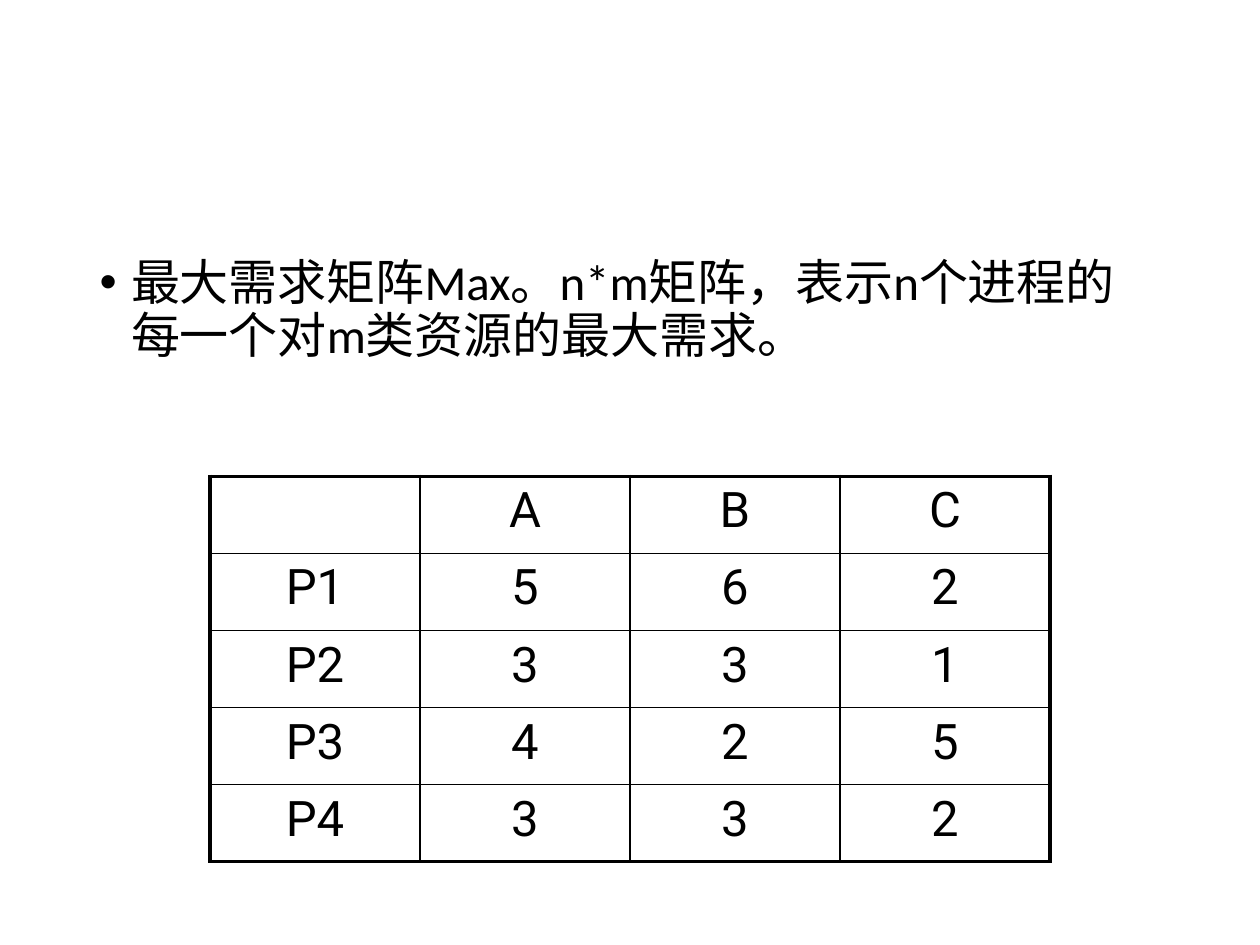
from dataclasses import dataclass
from lxml.etree import SubElement as Sub
from pptx import Presentation
from pptx.dml.color import RGBColor as RGB
from pptx.enum.text import MSO_AUTO_SIZE as Fit, PP_ALIGN as Align
from pptx.oxml.ns import qn
from pptx.util import Inches, Pt


@dataclass(frozen=True)
class Theme:
    """Colours, fonts, type sizes and line widths of the slide."""
    ink: str = "000000"
    body: str = "Calibri"
    grid: str = "Roboto"
    size: float = 28
    thin: float = 1
    thick: float = 2.25


LOOK = Theme()
WIDE, HIGH = Inches(10), Inches(7.5)
TEXT = "最大需求矩阵Max。n*m矩阵，表示n个进程的每一个对m类资源的最大需求。"
NEEDS = [
    ["", "A", "B", "C"],
    ["P1", "5", "6", "2"],
    ["P2", "3", "3", "1"],
    ["P3", "4", "2", "5"],
    ["P4", "3", "3", "2"],
]


def share(left, top, width, height):
    """Turn shares of the slide's size into lengths."""
    return [int(part * full) for part, full in
            zip((left, top, width, height), (WIDE, HIGH, WIDE, HIGH))]


def style(item, values):
    """Set every attribute named in a dict."""
    for name, value in values.items():
        setattr(item, name, value)


def paint(para, face):
    """Give a paragraph its font, size and colour."""
    style(para.font, {"name": face, "size": Pt(LOOK.size), "bold": False})
    para.font.color.rgb = RGB.from_string(LOOK.ink)


def add_point(slide, text, box):
    """Place one bulleted statement in the body placeholder."""
    body = slide.placeholders[1]
    style(body, dict(zip(("left", "top", "width", "height"), box)))
    style(body.text_frame, {"text": text, "word_wrap": True, "auto_size": Fit.NONE})
    para = body.text_frame.paragraphs[0]
    props = para._p.get_or_add_pPr()
    props.set("marL", str(Inches(0.25)))
    props.set("indent", str(-Inches(0.25)))
    Sub(props, qn("a:buFont"), typeface="Arial")
    Sub(props, qn("a:buChar"), char="•")
    style(para, {"line_spacing": 0.9, "space_before": Pt(0)})
    paint(para, LOOK.body)


def add_edge(cell, side, width):
    """Draw one side of a cell."""
    line = Sub(cell._tc.get_or_add_tcPr(), qn(f"a:ln{side}"), w=str(Pt(width)))
    Sub(Sub(line, qn("a:solidFill")), qn("a:srgbClr"), val=LOOK.ink)


def add_grid(slide, data, box):
    """Add a ruled table with a thick outer frame."""
    rows, cols = len(data), len(data[0])
    table = slide.shapes.add_table(rows, cols, *box).table
    style(table, {"first_row": False, "horz_banding": False})
    for row, line in enumerate(data):
        for col, text in enumerate(line):
            cell = table.cell(row, col)
            outer = {"L": col == 0, "R": col == cols - 1,
                     "T": row == 0, "B": row == rows - 1}
            for side, edge in outer.items():
                add_edge(cell, side, LOOK.thick if edge else LOOK.thin)
            cell.fill.background()
            cell.text = text
            para = cell.text_frame.paragraphs[0]
            para.alignment = Align.CENTER
            paint(para, LOOK.grid)


def main():
    """Build and save the slide."""
    deck = Presentation()
    style(deck, {"slide_width": WIDE, "slide_height": HIGH})
    slide = deck.slides.add_slide(deck.slide_layouts[1])
    title = slide.shapes.title.element
    title.getparent().remove(title)
    add_point(slide, TEXT, share(0.069, 2 / 7.5, 0.862, 4.76 / 7.5))
    add_grid(slide, NEEDS, share(1 / 6, 3.78 / 7.5, 2 / 3, 3.06 / 7.5))
    deck.save("out.pptx")


if __name__ == "__main__":
    main()
